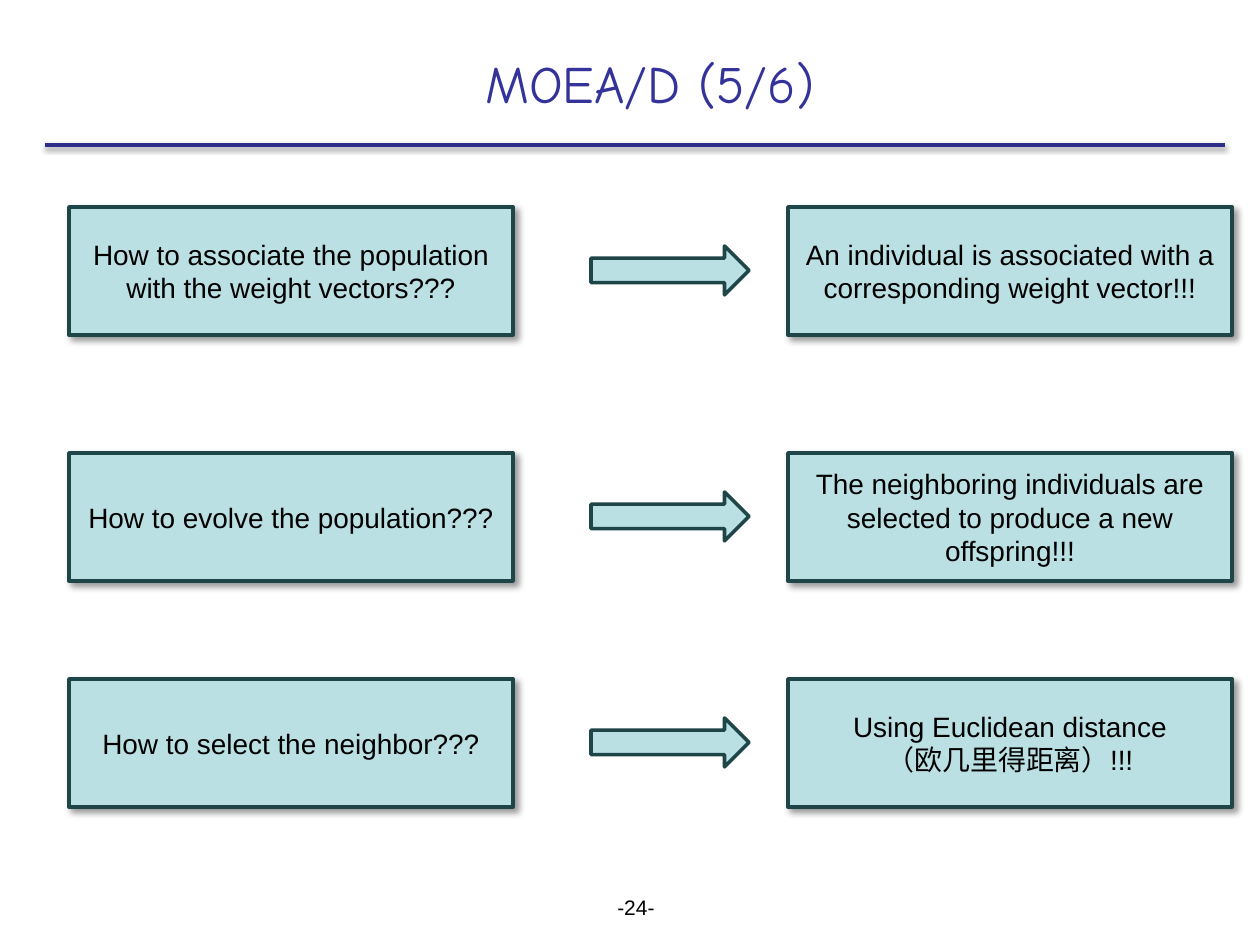
from lxml.etree import SubElement
from pptx import Presentation
from pptx.dml.color import RGBColor
from pptx.enum.shapes import MSO_CONNECTOR, MSO_SHAPE
from pptx.enum.text import MSO_ANCHOR, PP_ALIGN
from pptx.oxml.ns import qn
from pptx.util import Emu, Pt

TITLE = "MOEA/D (5/6)"
PAGE_NUMBER = "-24-"
ROWS = [
    (207, ["How to associate the population with the weight vectors???"],
     ["An individual is associated with a corresponding weight vector!!!"]),
    (453, ["How to evolve the population???"],
     ["The neighboring individuals are selected to produce a new offspring!!!"]),
    (679, ["How to select the neighbor???"],
     ["Using Euclidean distance", "（欧几里得距离）!!!"]),
]

PALE_TEAL = RGBColor(0xBB, 0xE0, 0xE3)
DARK_TEAL = RGBColor(0x1E, 0x46, 0x49)
RULE_BLUE = RGBColor(0x2D, 0x2D, 0x8A)
TITLE_BLUE = RGBColor(0x33, 0x33, 0x99)
BLACK = RGBColor(0, 0, 0)

PX = 914400 // 126
QUESTION_LEFT, ANSWER_LEFT, ARROW_LEFT = 69, 788, 591
BOX_WIDTH, BOX_HEIGHT = 444, 128
ARROW_WIDTH, ARROW_HEIGHT = 158, 49


def px(*lengths):
    return [Emu(length * PX) for length in lengths]


def write(shape, lines, size, font_name, color, anchor=MSO_ANCHOR.MIDDLE):
    frame = shape.text_frame
    frame.word_wrap = True
    frame.vertical_anchor = anchor
    for index, line in enumerate(lines):
        paragraph = frame.add_paragraph() if index else frame.paragraphs[0]
        paragraph.alignment = PP_ALIGN.CENTER
        run = paragraph.add_run()
        run.text = line
        run.font.size = Pt(size)
        run.font.name = font_name
        run.font.color.rgb = color


def add_shadow(shape, alpha, blur, distance, angle):
    properties = shape._element.spPr
    effects = properties.find(qn("a:effectLst"))
    if effects is None:
        effects = SubElement(properties, qn("a:effectLst"))
    shadow = SubElement(effects, qn("a:outerShdw"), blurRad=str(Pt(blur)),
                        dist=str(Pt(distance)), dir=str(angle * 60000),
                        algn="ctr", rotWithShape="0")
    color = SubElement(shadow, qn("a:srgbClr"), val=str(BLACK))
    SubElement(color, qn("a:alpha"), val=str(alpha * 1000))


def add_teal_shape(slide, kind, left, top, width, height):
    shape = slide.shapes.add_shape(kind, *px(left, top, width, height))
    shape.shadow.inherit = False
    shape.fill.solid()
    shape.fill.fore_color.rgb = PALE_TEAL
    shape.line.color.rgb = DARK_TEAL
    shape.line.width = Pt(2)
    return shape


def add_box(slide, left, top, lines):
    box = add_teal_shape(slide, MSO_SHAPE.FLOWCHART_PROCESS,
                         left, top, BOX_WIDTH, BOX_HEIGHT)
    add_shadow(box, 40, 4, 3, 45)
    write(box, lines, 16, "Arial", BLACK)


def main():
    presentation = Presentation()
    presentation.slide_width, presentation.slide_height = px(1260, 945)
    slide = presentation.slides.add_slide(presentation.slide_layouts[5])

    title = slide.shapes.title
    title.left, title.top, title.width, title.height = px(164, 33, 972, 100)
    write(title, [TITLE], 30, "Comic Neue", TITLE_BLUE)

    rule = slide.shapes.add_connector(MSO_CONNECTOR.STRAIGHT, *px(45, 145, 1225, 145))
    rule.line.color.rgb = RULE_BLUE
    rule.line.width = Pt(2)
    add_shadow(rule, 38, 3.1, 1.6, 90)

    for top, question, answer in ROWS:
        add_box(slide, QUESTION_LEFT, top, question)
        arrow_top = top + (BOX_HEIGHT - ARROW_HEIGHT) // 2
        add_teal_shape(slide, MSO_SHAPE.RIGHT_ARROW,
                       ARROW_LEFT, arrow_top, ARROW_WIDTH, ARROW_HEIGHT)
        add_box(slide, ANSWER_LEFT, top, answer)

    number = slide.shapes.add_textbox(*px(489, 888, 294, 40))
    write(number, [PAGE_NUMBER], 12, "Arial", BLACK, MSO_ANCHOR.TOP)

    presentation.save("out.pptx")


if __name__ == "__main__":
    main()
